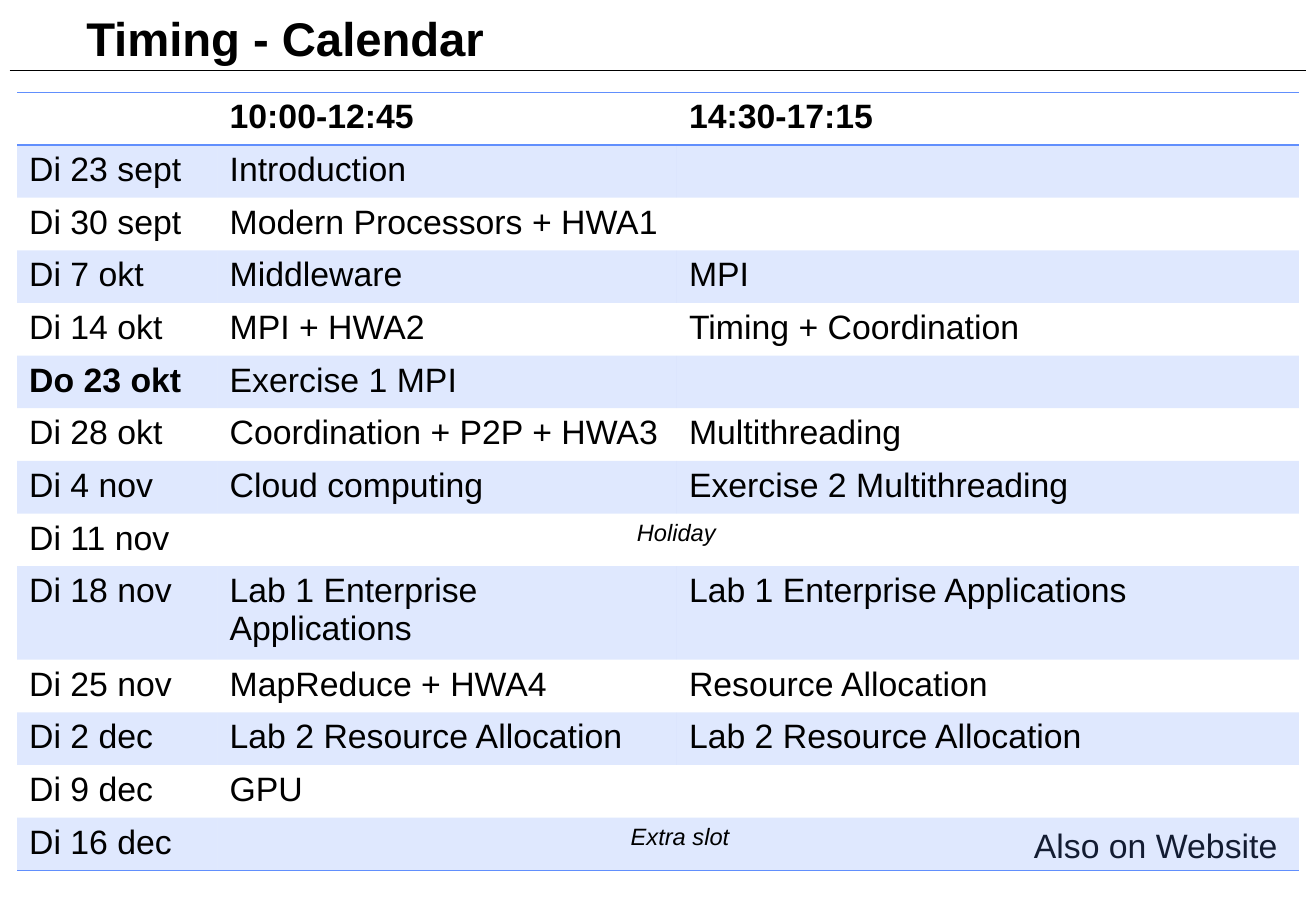
from lxml import etree
from pptx import Presentation
from pptx.dml.color import RGBColor
from pptx.enum.shapes import MSO_CONNECTOR as CONN
from pptx.enum.text import MSO_ANCHOR as ANCHOR, MSO_AUTO_SIZE as AUTO, PP_ALIGN as ALIGN
from pptx.oxml.ns import qn
from pptx.util import Inches, Pt

BLACK, BLUE = "000000", "618FFD"
NO_STYLE = "{2D5ABB26-0587-4C30-8999-92F81FD0307C}"
BODY = {"name": "Arial", "size": Pt(20), "bold": False, "italic": False}
HEAD = {**BODY, "bold": True}
NOTE = {**BODY, "size": Pt(14), "italic": True}
TITLE = {**HEAD, "size": Pt(28)}
COLUMNS = (1.65, 3.78, 5.12)
TABLE_HEIGHT, TALL_HEIGHT = 6.41, 0.77
CALENDAR = [
    ("", "10:00-12:45", "14:30-17:15"),
    ("Di 23 sept", "Introduction", ""),
    ("Di 30 sept", "Modern Processors + HWA1", ""),
    ("Di 7 okt", "Middleware", "MPI"),
    ("Di 14 okt", "MPI + HWA2", "Timing + Coordination"),
    ("Do 23 okt", "Exercise 1 MPI", ""),
    ("Di 28 okt", "Coordination + P2P + HWA3", "Multithreading"),
    ("Di 4 nov", "Cloud computing", "Exercise 2 Multithreading"),
    ("Di 11 nov", "Holiday", ""),
    ("Di 18 nov", "Lab 1 Enterprise Applications", "Lab 1 Enterprise Applications"),
    ("Di 25 nov", "MapReduce + HWA4", "Resource Allocation"),
    ("Di 2 dec", "Lab 2 Resource Allocation", "Lab 2 Resource Allocation"),
    ("Di 9 dec", "GPU", ""),
    ("Di 16 dec", "Extra slot", ""),
]
NOTE_INDENTS = {"Holiday": 3.45, "Extra slot": 3.4}
TALL_DAY, BOLD_DAY = "Di 18 nov", "Do 23 okt"


def rgb(color):
    return RGBColor.from_string(color)


def write(tf, text, font):
    p = tf.paragraphs[0]
    p.alignment = ALIGN.LEFT
    r = p.add_run()
    r.text = text
    for key, value in font.items():
        setattr(r.font, key, value)
    r.font.color.rgb = rgb(BLACK)


def place_text(sp, box, text, font):
    sp.left, sp.top, sp.width, sp.height = map(Inches, box)
    tf = sp.text_frame
    frame = {"word_wrap": True, "auto_size": AUTO.NONE, "vertical_anchor": ANCHOR.TOP}
    for key, value in frame.items():
        setattr(tf, key, value)
    write(tf, text, font)


def add_rule(s, x1, x2, y):
    line = s.shapes.add_connector(CONN.STRAIGHT, *map(Inches, (x1, y, x2, y)))
    line.line.color.rgb = rgb(BLACK)
    line.line.width = Pt(1)
    etree.SubElement(line._element.spPr, qn("a:effectLst"))


def add_border(cell, side):
    ln = etree.SubElement(cell._tc.get_or_add_tcPr(), qn(f"a:ln{side}"), w=str(Pt(1)))
    fill = etree.SubElement(ln, qn("a:solidFill"))
    etree.SubElement(fill, qn("a:srgbClr"), val=BLUE)


def fill_cell(cell, shaded):
    if not shaded:
        cell.fill.background()
        return
    cell.fill.solid()
    cell.fill.fore_color.rgb = rgb(BLUE)
    color = cell._tc.tcPr.find(qn("a:solidFill")).find(qn("a:srgbClr"))
    etree.SubElement(color, qn("a:alpha"), val="20000")


def fill_row(table, i, texts):
    sides = {0: "TB", len(CALENDAR) - 1: "B"}.get(i, "")
    for j, text in enumerate(texts):
        cell = table.cell(i, j)
        for side in sides:
            add_border(cell, side)
        fill_cell(cell, i % 2 == 1)
        font = HEAD if i == 0 or text == BOLD_DAY else BODY
        if text in NOTE_INDENTS:
            cell.margin_left = Inches(NOTE_INDENTS[text])
            font = NOTE
        if text:
            write(cell.text_frame, text, font)
    if texts[1] in NOTE_INDENTS:
        table.cell(i, 1).merge(table.cell(i, 2))


def add_calendar(s, left, top):
    box = map(Inches, (left, top, sum(COLUMNS), TABLE_HEIGHT))
    table = s.shapes.add_table(len(CALENDAR), len(COLUMNS), *box).table
    table.first_row = table.horz_banding = False
    table._tbl.tblPr.find(qn("a:tableStyleId")).text = NO_STYLE
    for column, width in zip(table.columns, COLUMNS):
        column.width = Inches(width)
    row_height = (TABLE_HEIGHT - TALL_HEIGHT) / (len(CALENDAR) - 1)
    for i, texts in enumerate(CALENDAR):
        height = TALL_HEIGHT if texts[0] == TALL_DAY else row_height
        table.rows[i].height = Inches(height)
        fill_row(table, i, texts)


def main():
    """Build the course calendar slide."""
    prs = Presentation()
    prs.slide_width, prs.slide_height = Inches(10.83), Inches(7.5)
    s = prs.slides.add_slide(prs.slide_layouts[5])
    add_rule(s, 0.08, 10.75, 0.58)
    place_text(s.shapes.title, (0.61, 0.03, 4, 0.57), "Timing - Calendar", TITLE)
    note_box = (8.41, 6.74, 2.3, 0.44)
    note = s.shapes.add_textbox(*map(Inches, note_box))
    place_text(note, note_box, "Also on Website", BODY)
    add_calendar(s, 0.14, 0.76)
    prs.save("out.pptx")


if __name__ == "__main__":
    main()
